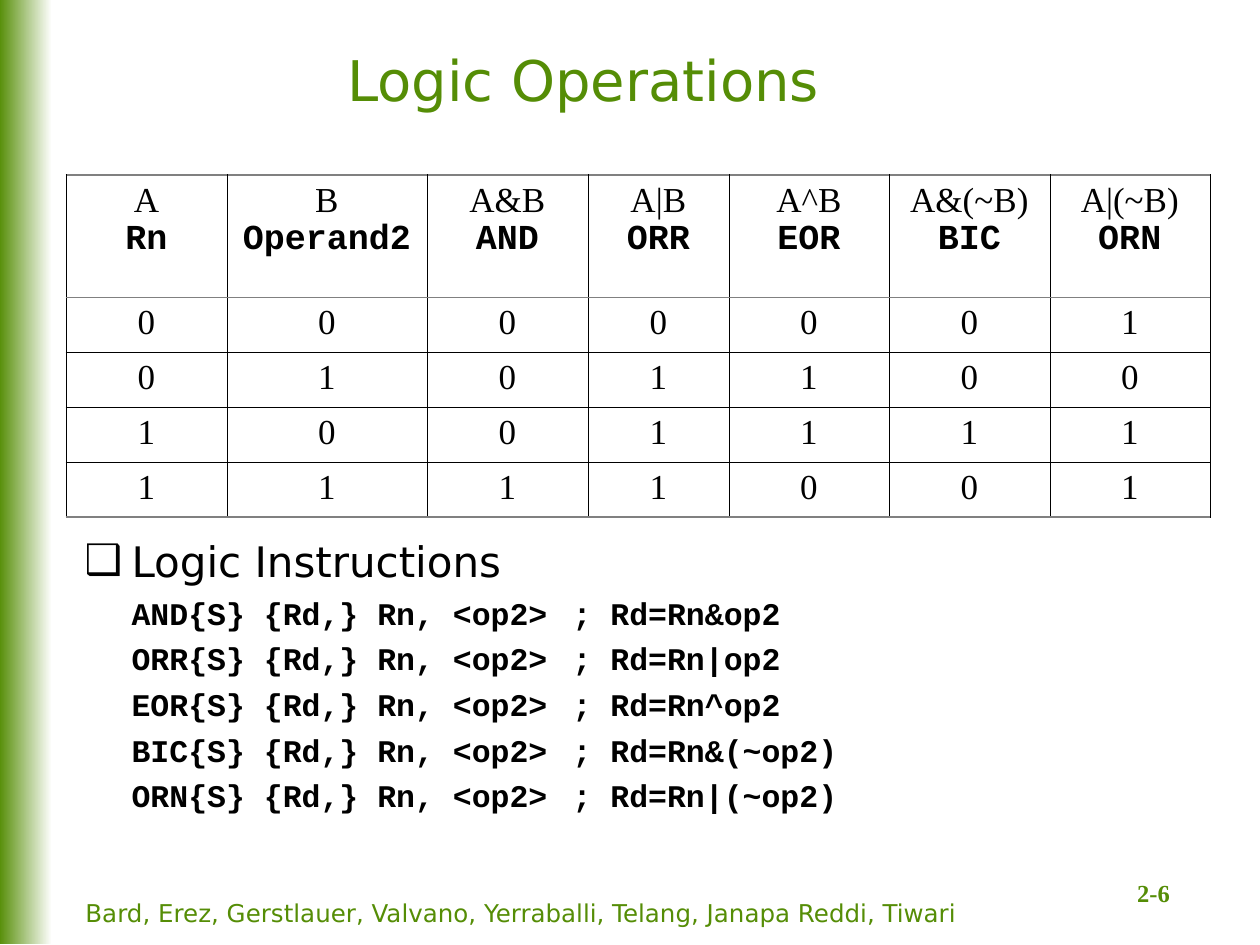
from typing import NamedTuple

from lxml.etree import SubElement
from pptx import Presentation
from pptx.dml.color import RGBColor
from pptx.enum.shapes import MSO_SHAPE as Shape
from pptx.enum.text import MSO_ANCHOR as Anchor, MSO_AUTO_SIZE as AutoSize, PP_ALIGN as Align
from pptx.oxml.ns import qn
from pptx.util import Emu, Pt

PX_PER_INCH = 126
GREEN, BLACK, GREY, WHITE = "558D06", "000000", "808080", "FFFFFF"
SANS, SERIF, MONO = "DejaVu Sans", "Times New Roman", "Courier New"


class Box(NamedTuple):
    left: int
    top: int
    width: int
    height: int


class Style(NamedTuple):
    face: str
    size: int
    colour: str = BLACK
    bold: bool = False


class Operation(NamedTuple):
    expression: str
    mnemonic: str
    results: str
    width: int


class Edge(NamedTuple):
    colour: str
    points: float


OPERATIONS = [
    Operation("A", "Rn", "0011", 161),
    Operation("B", "Operand2", "0101", 200),
    Operation("A&B", "AND", "0001", 161),
    Operation("A|B", "ORR", "0111", 141),
    Operation("A^B", "EOR", "0110", 160),
    Operation("A&(~B)", "BIC", "0010", 161),
    Operation("A|(~B)", "ORN", "1011", 160),
]
INSTRUCTIONS = [
    ("AND", "Rn&op2"),
    ("ORR", "Rn|op2"),
    ("EOR", "Rn^op2"),
    ("BIC", "Rn&(~op2)"),
    ("ORN", "Rn|(~op2)"),
]
HEADER_HEIGHT, ROW_HEIGHT = 122, 55
HANGING_INDENT, COMMENT_TAB = 47, 504
OUTER, UNDER_HEADER, INNER = Edge(GREY, 0.96), Edge(GREY, 0.45), Edge(BLACK, 0.34)


def px(length: int) -> Emu:
    return Emu(round(length * 914400 / PX_PER_INCH))


def rgb(colour: str) -> RGBColor:
    return RGBColor.from_string(colour)


def place(shape, box: Box) -> None:
    shape.left, shape.top, shape.width, shape.height = map(px, box)


def write(paragraph, text: str, style: Style, align: Align = Align.LEFT) -> None:
    paragraph.text = text
    paragraph.alignment = align
    font = paragraph.font
    font.name, font.size, font.bold = style.face, Pt(style.size), style.bold
    font.color.rgb = rgb(style.colour)


def add_label(slide, box: Box, text: str, style: Style, align: Align, anchor: Anchor) -> None:
    frame = slide.shapes.add_textbox(*map(px, box)).text_frame
    frame.word_wrap = True
    frame.vertical_anchor = anchor
    write(frame.paragraphs[0], text, style, align)


def add_side_band(slide, box: Box) -> None:
    band = slide.shapes.add_shape(Shape.RECTANGLE, *map(px, box))
    band.shadow.inherit = False
    band.line.fill.background()
    band.fill.gradient()
    band.fill.gradient_angle = 0
    for stop, colour, position in zip(band.fill.gradient_stops, (GREEN, WHITE), (0, 1)):
        stop.color.rgb = rgb(colour)
        stop.position = position


def set_borders(cell, top: Edge, bottom: Edge) -> None:
    properties = cell._tc.get_or_add_tcPr()
    for side, edge in zip("LRTB", (INNER, INNER, top, bottom)):
        line = SubElement(properties, qn(f"a:ln{side}"), w=str(Pt(edge.points)))
        fill = SubElement(line, qn("a:solidFill"))
        SubElement(fill, qn("a:srgbClr"), val=edge.colour)


def add_truth_table(slide, left: int, top: int) -> None:
    row_count = 1 + len(OPERATIONS[0].results)
    box = Box(left, top, sum(operation.width for operation in OPERATIONS),
              HEADER_HEIGHT + ROW_HEIGHT * (row_count - 1))
    table = slide.shapes.add_table(row_count, len(OPERATIONS), *map(px, box)).table
    table.first_row = table.horz_banding = False
    for index, row in enumerate(table.rows):
        row.height = px(ROW_HEIGHT if index else HEADER_HEIGHT)
    edges = [OUTER, UNDER_HEADER, *[INNER] * (row_count - 2), OUTER]
    for column, operation in enumerate(OPERATIONS):
        table.columns[column].width = px(operation.width)
        for row, text in enumerate([operation.expression, *operation.results]):
            cell = table.cell(row, column)
            set_borders(cell, edges[row], edges[row + 1])
            cell.fill.background()
            write(cell.text_frame.paragraphs[0], text, Style(SERIF, 20), Align.CENTER)
        write(table.cell(0, column).text_frame.add_paragraph(), operation.mnemonic,
              Style(MONO, 20, bold=True), Align.CENTER)


def indent(paragraph, first_line: int):
    properties = paragraph._p.get_or_add_pPr()
    properties.set("marL", str(px(HANGING_INDENT)))
    properties.set("indent", str(px(first_line)))
    return properties


def fill_instructions(frame) -> None:
    frame.auto_size = AutoSize.NONE
    heading = frame.paragraphs[0]
    properties = indent(heading, -HANGING_INDENT)
    bullet_colour = SubElement(properties, qn("a:buClr"))
    SubElement(bullet_colour, qn("a:srgbClr"), val=BLACK)
    SubElement(properties, qn("a:buFont"), typeface=SANS)
    SubElement(properties, qn("a:buChar"), char="❑")
    heading.space_before = Pt(0)
    write(heading, "Logic Instructions", Style(SANS, 24))
    for mnemonic, result in INSTRUCTIONS:
        line = frame.add_paragraph()
        properties = indent(line, 0)
        SubElement(properties, qn("a:buNone"))
        tabs = SubElement(properties, qn("a:tabLst"))
        SubElement(tabs, qn("a:tab"), pos=str(px(COMMENT_TAB)), algn="l")
        line.space_before = Pt(4.5)
        write(line, f"{mnemonic}{{S}} {{Rd,}} Rn, <op2>\t; Rd={result}",
              Style(MONO, 18, bold=True))


def main() -> None:
    deck = Presentation()
    deck.slide_width, deck.slide_height = px(1260), px(945)
    slide = deck.slides.add_slide(deck.slide_layouts[1])
    title, instructions = slide.placeholders

    add_side_band(slide, Box(-1, -1, 53, 945))
    place(title, Box(53, 32, 1061, 95))
    title.text_frame.vertical_anchor = Anchor.MIDDLE
    write(title.text_frame.paragraphs[0], "Logic Operations", Style(SANS, 32, GREEN), Align.CENTER)
    add_truth_table(slide, 66, 175)
    place(instructions, Box(72, 529, 1092, 300))
    fill_instructions(instructions.text_frame)
    add_label(slide, Box(73, 892, 987, 53),
              "Bard, Erez, Gerstlauer, Valvano, Yerraballi, Telang, Janapa Reddi, Tiwari",
              Style(SANS, 14, GREEN), Align.LEFT, Anchor.TOP)
    add_label(slide, Box(1080, 856, 147, 58), "2-6", Style(SERIF, 14, GREEN, True),
              Align.CENTER, Anchor.BOTTOM)
    deck.save("out.pptx")


if __name__ == "__main__":
    main()
